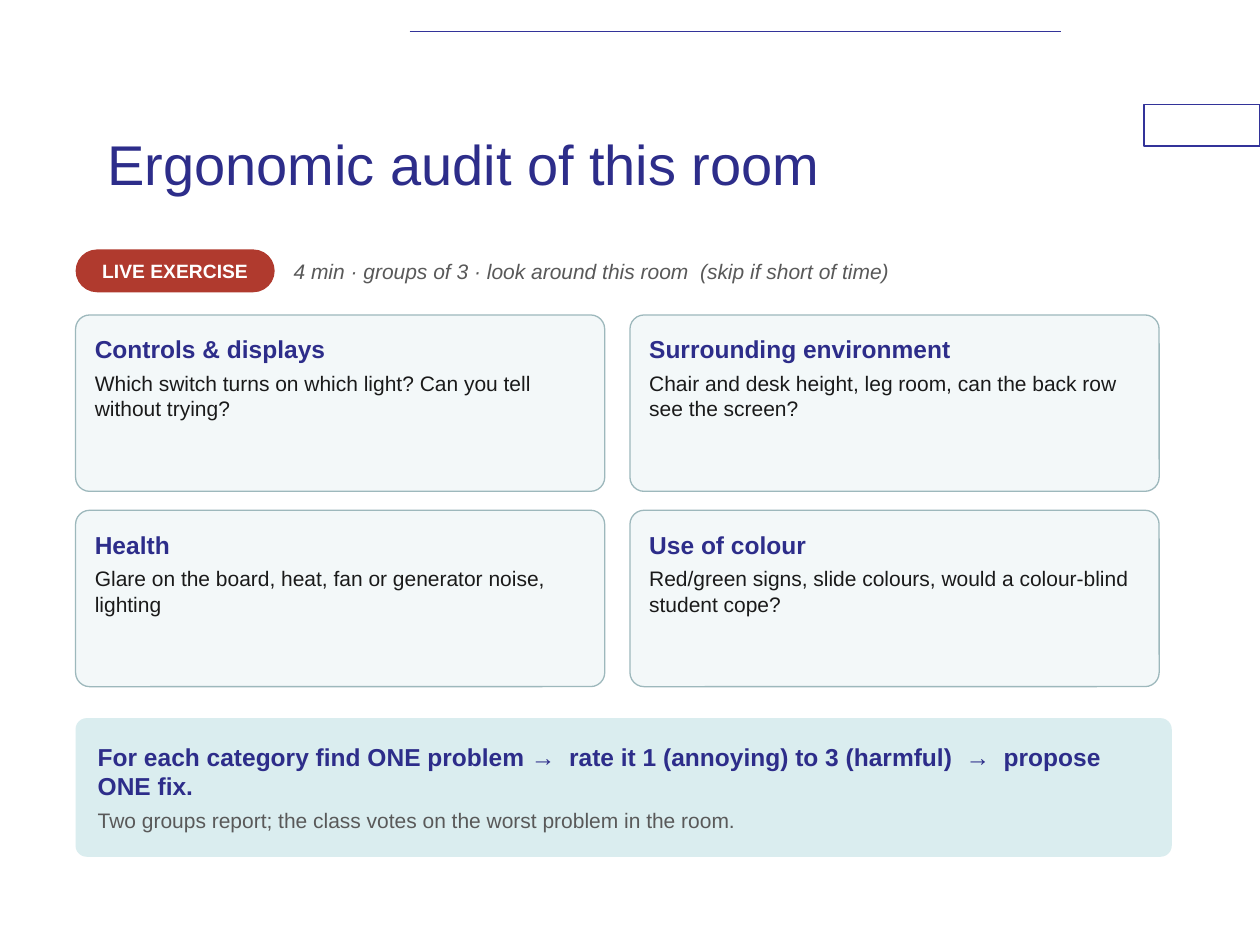
from lxml import etree
from pptx import Presentation
from pptx.dml.color import RGBColor
from pptx.enum.shapes import MSO_CONNECTOR, MSO_SHAPE
from pptx.enum.text import MSO_ANCHOR, PP_ALIGN
from pptx.oxml.ns import qn
from pptx.util import Inches, Pt

RECT, ROUNDED = MSO_SHAPE.RECTANGLE, MSO_SHAPE.ROUNDED_RECTANGLE
STRAIGHT = MSO_CONNECTOR.STRAIGHT
TOP, MIDDLE = MSO_ANCHOR.TOP, MSO_ANCHOR.MIDDLE
LEFT, CENTER = PP_ALIGN.LEFT, PP_ALIGN.CENTER

WHITE = RGBColor(0xFF, 0xFF, 0xFF)
NAVY = RGBColor(0x2D, 0x2D, 0x8A)
RULE_BLUE = RGBColor(0x33, 0x33, 0x99)
RED = RGBColor(0xB0, 0x3A, 0x2E)
GREY = RGBColor(0x59, 0x59, 0x59)
INK = RGBColor(0x1A, 0x1A, 0x1A)
CARD_FILL = RGBColor(0xF3, 0xF8, 0xF9)
CARD_LINE = RGBColor(0x9D, 0xB8, 0xBC)
TASK_FILL = RGBColor(0xDA, 0xED, 0xEF)

TITLE = {"size": Pt(32), "bold": False, "color": NAVY}
BADGE = {"size": Pt(11), "bold": True, "color": WHITE}
HINT = {"size": Pt(12), "italic": True, "color": GREY}
HEADING = {"size": Pt(14), "bold": True, "color": NAVY}
BODY = {"size": Pt(12), "bold": False, "color": INK}
NOTE = {"size": Pt(12), "bold": False, "color": GREY}


def add_panel(kind, left, top, width, height, fill, line=None, corner=None):
    panel = page.shapes.add_shape(
        kind, Inches(left), Inches(top), Inches(width), Inches(height))
    panel.shadow.inherit = False
    panel.fill.solid()
    panel.fill.fore_color.rgb = fill
    if line is None:
        panel.line.fill.background()
    else:
        panel.line.color.rgb = line
        panel.line.width = Pt(0.75)
    if corner is not None:
        panel.adjustments[0] = corner
    return panel


def write(box, lines, inset, anchor=MIDDLE, align=LEFT):
    frame = box.text_frame
    frame.word_wrap = True
    frame.vertical_anchor = anchor
    for side in ("left", "top", "right", "bottom"):
        setattr(frame, f"margin_{side}", Inches(inset))
    for index, (text, style, space_after) in enumerate(lines):
        para = frame.add_paragraph() if index else frame.paragraphs[0]
        para.alignment = align
        para.space_before = Pt(0)
        para.space_after = Pt(space_after)
        span = para.add_run()
        span.text = text
        span.font.name = "Arial"
        for name, value in style.items():
            if name == "color":
                span.font.color.rgb = value
            else:
                setattr(span.font, name, value)


deck = Presentation()
deck.slide_width, deck.slide_height = Inches(10), Inches(7.5)
page = deck.slides.add_slide(deck.slide_layouts[5])

add_panel(RECT, 9.08, 0.83, 0.92, 0.33, WHITE, RULE_BLUE)
rule = page.shapes.add_connector(
    STRAIGHT, Inches(3.25), Inches(0.25), Inches(8.42), Inches(0.25))
rule.line.color.rgb = RULE_BLUE
rule.line.width = Pt(1)
etree.SubElement(rule._element.spPr, qn("a:effectLst"))

title = page.shapes.title
title.left, title.top = Inches(0.75), Inches(0.67)
title.width, title.height = Inches(7.5), Inches(1.25)
write(title, [("Ergonomic audit of this room", TITLE, 0)], 0.1)

badge = add_panel(ROUNDED, 0.6, 1.98, 1.58, 0.34, RED, corner=0.5)
write(badge, [("LIVE EXERCISE", BADGE, 0)], 0.03, align=CENTER)

hint = page.shapes.add_textbox(
    Inches(2.31), Inches(1.98), Inches(6), Inches(0.34))
write(hint, [("4 min · groups of 3 · look around this room  (skip if short of time)",
              HINT, 0)], 0.02)

categories = [
    ("Controls & displays",
     "Which switch turns on which light? Can you tell without trying?"),
    ("Surrounding environment",
     "Chair and desk height, leg room, can the back row see the screen?"),
    ("Health",
     "Glare on the board, heat, fan or generator noise, lighting"),
    ("Use of colour",
     "Red/green signs, slide colours, would a colour-blind student cope?"),
]
for index, (heading, question) in enumerate(categories):
    row, column = divmod(index, 2)
    card = add_panel(ROUNDED, 0.6 + 4.4 * column, 2.5 + 1.55 * row, 4.2, 1.4,
                     CARD_FILL, CARD_LINE, 0.08)
    write(card, [(heading, HEADING, 4), (question, BODY, 2)], 0.12, TOP)

task = add_panel(ROUNDED, 0.6, 5.7, 8.7, 1.1, TASK_FILL, corner=0.08)
write(task, [
    ("For each category find ONE problem →  rate it 1 (annoying) to 3 (harmful)"
     "  →  propose ONE fix.", HEADING, 4),
    ("Two groups report; the class votes on the worst problem in the room.", NOTE, 0),
], 0.15)

deck.save("out.pptx")
